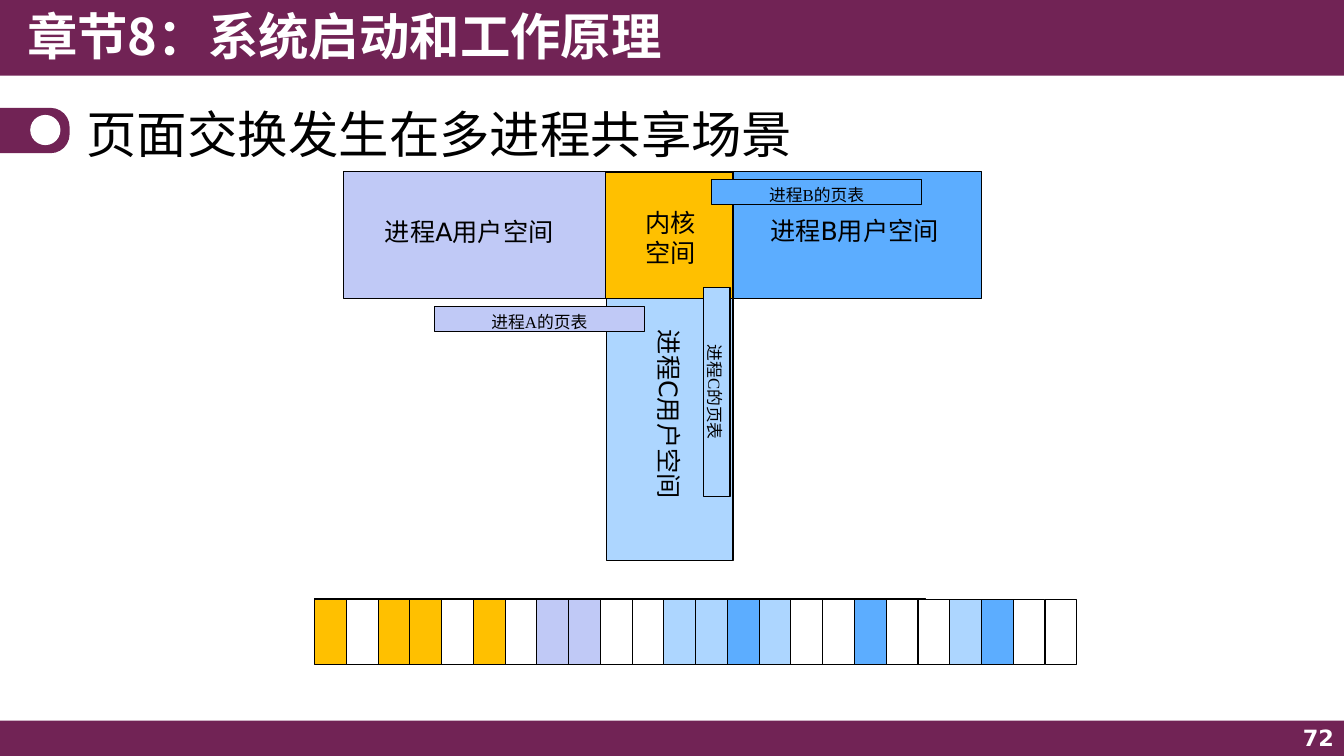
from dataclasses import dataclass

from pptx import Presentation
from pptx.dml.color import RGBColor
from pptx.enum import shapes, text
from pptx.oxml import ns, xmlchemy
from pptx.util import Inches, Pt

KIND = shapes.MSO_SHAPE


@dataclass
class Theme:
    """Colours, fonts and type sizes of the slide."""
    plum: str = "712355"
    white: str = "FFFFFF"
    black: str = "000000"
    kernel: str = "FFC000"
    proc_a: str = "C0C9F6"
    proc_b: str = "5CADFF"
    proc_c: str = "ADD6FF"
    cjk: str = "Noto Sans CJK SC"
    sans: str = "DejaVu Sans"
    serif: str = "Times New Roman"
    head: int = 36
    label: int = 18
    page: int = 16
    small: int = 12
    edge: float = 0.75


class Deck:
    """Draws styled elements on the current slide."""

    def __init__(self, theme):
        self.theme = theme
        self.prs = Presentation()
        self.prs.slide_width = Inches(13.33)
        self.prs.slide_height = Inches(7.5)
        self.slide = self.prs.slides.add_slide(self.prs.slide_layouts[6])

    def style(self, frame, words, size, font, color=None, bold=False,
              align=text.PP_ALIGN.LEFT):
        """Fill a text frame and format its runs."""
        frame.word_wrap = True
        frame.text = words
        for para in frame.paragraphs:
            para.alignment = align
            for run in para.runs:
                run.font.size = Pt(size)
                run.font.bold = bold
                run.font.name = font
                run.font.color.rgb = RGBColor.from_string(color or self.theme.black)
                east = xmlchemy.OxmlElement("a:ea")
                east.set("typeface", self.theme.cjk)
                run.font._element.find(ns.qn("a:latin")).addnext(east)

    def shape(self, box, fill, edge=True, kind=KIND.RECTANGLE, turn=0):
        """Add a filled shape, outlined unless edge is false."""
        item = self.slide.shapes.add_shape(kind, *map(Inches, box))
        item.shadow.inherit = False
        item.rotation = turn
        item.fill.solid()
        item.fill.fore_color.rgb = RGBColor.from_string(fill)
        if edge:
            item.line.color.rgb = RGBColor.from_string(self.theme.black)
            item.line.width = Pt(self.theme.edge)
        else:
            item.line.fill.background()
        return item

    def note(self, box, words, size, font, turn=0, middle=False, grow=False,
             **look):
        """Add a text box."""
        item = self.slide.shapes.add_textbox(*map(Inches, box))
        item.rotation = turn
        frame = item.text_frame
        self.style(frame, words, size, font, **look)
        if middle:
            frame.vertical_anchor = text.MSO_ANCHOR.MIDDLE
        if grow:
            frame.auto_size = text.MSO_AUTO_SIZE.SHAPE_TO_FIT_TEXT

    def label(self, box, words, turn=0):
        """Name a memory space."""
        self.note(box, words, self.theme.label, self.theme.sans, turn, grow=True)

    def table(self, box, name, fill, turn=0):
        """Add the page table bar of a process."""
        frame = self.shape(box, fill, turn=turn).text_frame
        self.style(frame, f"进程{name}的页表", self.theme.small, self.theme.serif,
                   align=text.PP_ALIGN.CENTER)
        frame.vertical_anchor = text.MSO_ANCHOR.TOP

    def strip(self, left, top, step, high, fills):
        """Add a row of physical memory frames."""
        for spot, fill in enumerate(fills):
            self.shape((left + spot * step, top, step, high), fill)


def main():
    """Build and save the slide."""
    look = Theme()
    deck = Deck(look)

    deck.shape((0, 7.15, 13.33, 0.36), look.plum, edge=False)
    deck.shape((-0.03, 0, 13.36, 0.75), look.plum, edge=False)
    tab = deck.shape((0.12, 0.95, 0.45, 0.69), look.plum, edge=False,
                     kind=KIND.ROUND_2_SAME_RECTANGLE, turn=90)
    tab.adjustments[0] = 0.42
    deck.shape((0.3, 1.14, 0.3, 0.3), look.white, edge=False, kind=KIND.OVAL)
    deck.note((0.17, 0, 7.6, 0.77), "章节8：系统启动和工作原理", look.head,
              look.cjk, color=look.white, bold=True)
    deck.note((10.33, 7.14, 3, 0.36), "72", look.page, look.sans, middle=True,
              color=look.white, bold=True, align=text.PP_ALIGN.RIGHT)
    deck.note((0.76, 0.95, 11.81, 0.74), "页面交换发生在多进程共享场景",
              look.head, look.cjk, middle=True)

    deck.shape((5.88, 1.7, 3.86, 1.26), look.proc_b)
    deck.shape((3.41, 1.7, 3.86, 1.26), look.proc_a)
    deck.shape((4.71, 3, 3.86, 1.26), look.proc_c, turn=90)
    deck.shape((6.01, 1.71, 1.25, 1.26), look.kernel, turn=90)

    for name, left, top, turn in (("A", 3.72, 2.1, 0), ("B", 7.54, 2.09, 0),
                                  ("C", 5.67, 3.94, 90)):
        deck.label((left, top, 1.93, 0.4), f"进程{name}用户空间", turn)
    deck.label((6.3, 2.01, 1.01, 0.71), "内核\n空间")

    deck.table((4.31, 3.04, 2.08, 0.25), "A", look.proc_a)
    deck.table((6.07, 3.76, 2.08, 0.26), "C", look.proc_c, turn=90)
    deck.table((7.06, 1.78, 2.08, 0.25), "B", look.proc_b)

    owner = {"K": look.kernel, "A": look.proc_a, "B": look.proc_b,
             "C": look.proc_c, "-": look.white}
    deck.shape((3.12, 5.94, 6.06, 0.64), look.white)
    deck.strip(3.12, 5.95, 7.56 / 24, 0.64,
               [owner[key] for key in "K-KK-K-AA--CCBC--B--CB--"])

    deck.prs.save("out.pptx")


if __name__ == "__main__":
    main()
